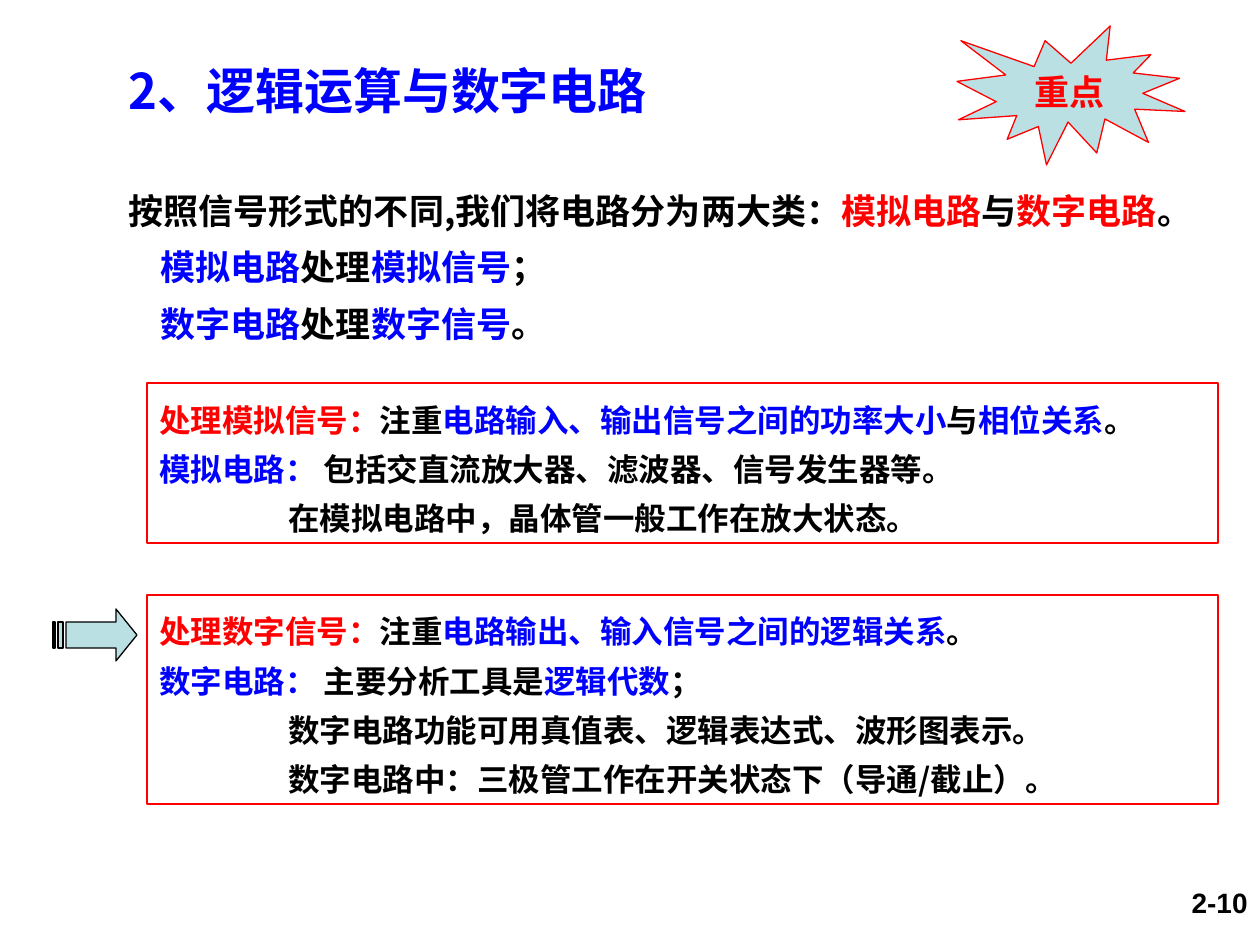
from lxml.etree import SubElement
from pptx import Presentation
from pptx.dml.color import RGBColor
from pptx.enum.shapes import MSO_SHAPE as Shape
from pptx.enum.text import MSO_ANCHOR as Anchor, MSO_AUTO_SIZE as AutoSize, PP_ALIGN as Align
from pptx.oxml.ns import qn
from pptx.util import Pt

PX = 914400 / 126
CJK = "Noto Sans CJK SC"
COLORS = {"black": "000000", "red": "FF0000", "blue": "0000FF", "pale": "BBE0E3"}

# A paragraph is (indent in px, [(text, colour), ...]).
TITLE = [(0, [("2、逻辑运算与数字电路", "blue")])]
INTRO = [
    (0, [("按照信号形式的不同,我们将电路分为两大类：", "black"), ("模拟电路", "red"),
         ("与", "black"), ("数字电路", "red"), ("。", "black")]),
    (32, [("模拟电路", "blue"), ("处理", "black"), ("模拟信号", "blue"), ("；", "black")]),
    (32, [("数字电路", "blue"), ("处理", "black"), ("数字信号", "blue"), ("。", "black")]),
]
ANALOG = [
    (0, [("处理模拟信号：", "red"), ("注重", "black"),
         ("电路输入、输出信号之间的功率大小", "blue"), ("与", "black"),
         ("相位关系", "blue"), ("。", "black")]),
    (0, [("模拟电路： ", "blue"), ("包括交直流放大器、滤波器、信号发生器等。", "black")]),
    (129, [("在模拟电路中，晶体管一般工作在放大状态。", "black")]),
]
DIGITAL = [
    (0, [("处理数字信号：", "red"), ("注重", "black"),
         ("电路输出、输入信号之间的逻辑关系", "blue"), ("。", "black")]),
    (0, [("数字电路： ", "blue"), ("主要分析工具是", "black"),
         ("逻辑代数", "blue"), ("；", "black")]),
    (129, [("数字电路功能可用真值表、逻辑表达式、波形图表示。", "black")]),
    (129, [("数字电路中：三极管工作在开关状态下（导通/截止）。", "black")]),
]
BADGE = [(0, [("重点", "red")])]
PAGE_NUMBER = [(0, [("2-10", "black")])]

# Panels are (top, height, paragraphs).
PANELS = [(383, 160, ANALOG), (595, 209, DIGITAL)]

SHAFT_TOP, SHAFT_BOTTOM = 622, 648
ARROW = [(116, 609), (116, SHAFT_TOP), (66, SHAFT_TOP), (66, SHAFT_BOTTOM),
         (116, SHAFT_BOTTOM), (116, 661), (137, 635)]
STRIPES = [(58, 63), (53, 55)]


def emu(*lengths):
    return [round(length * PX) for length in lengths]


def color(name):
    return RGBColor.from_string(COLORS[name])


def place(shape, *bounds):
    shape.left, shape.top, shape.width, shape.height = emu(*bounds)


def write(shape, paragraphs, size, spacing=1.0, align=Align.LEFT,
          anchor=Anchor.TOP, wrap=True, font=CJK):
    frame = shape.text_frame
    frame.word_wrap = wrap
    frame.auto_size = AutoSize.NONE
    frame.vertical_anchor = anchor
    for index, (indent, spans) in enumerate(paragraphs):
        para = frame.paragraphs[0] if index == 0 else frame.add_paragraph()
        props = para._p.get_or_add_pPr()
        props.set("marL", str(emu(indent)[0]))
        props.set("indent", "0")
        SubElement(props, qn("a:buNone"))
        para.alignment = align
        para.line_spacing = spacing
        para.space_before = Pt(0)
        for text, name in spans:
            span = para.add_run()
            span.text = text
            span.font.size = Pt(size)
            span.font.bold = True
            span.font.name = font
            span.font.color.rgb = color(name)
            SubElement(span._r.get_or_add_rPr(), qn("a:ea"), typeface=font)


def paint(shape, line, width, fill=None):
    shape.shadow.inherit = False
    shape.line.color.rgb = color(line)
    shape.line.width = Pt(width)
    if fill:
        shape.fill.solid()
        shape.fill.fore_color.rgb = color(fill)
    else:
        shape.fill.background()


def add_striped_arrow(page):
    builder = page.shapes.build_freeform(*ARROW[0], scale=PX)
    builder.add_line_segments(ARROW[1:], close=True)
    for left, right in STRIPES:
        builder.move_to(left, SHAFT_TOP)
        builder.add_line_segments([(left, SHAFT_BOTTOM), (right, SHAFT_BOTTOM),
                                   (right, SHAFT_TOP)], close=True)
    paint(builder.convert_to_shape(), "black", 0.75, "pale")


def main():
    deck = Presentation()
    deck.slide_width, deck.slide_height = emu(1260, 945)
    page = deck.slides.add_slide(deck.slide_layouts[1])

    title, body = page.placeholders
    place(title, 116, 54, 756, 72)
    write(title, TITLE, 28)
    place(body, 116, 168, 1142, 183)
    write(body, INTRO, 20, 1.35)

    for top, height, paragraphs in PANELS:
        panel = page.shapes.add_shape(Shape.RECTANGLE, *emu(147, top, 1071, height))
        paint(panel, "red", 1)
        write(panel, paragraphs, 18, 1.3)

    add_striped_arrow(page)

    badge = page.shapes.add_shape(Shape.EXPLOSION1, *emu(957, 26, 228, 139))
    paint(badge, "red", 0.75, "pale")
    write(badge, BADGE, 20, align=Align.CENTER, anchor=Anchor.MIDDLE, wrap=False)

    number = page.shapes.add_textbox(*emu(966, 879, 294, 66))
    write(number, PAGE_NUMBER, 16, align=Align.RIGHT, font="Arial")

    deck.save("out.pptx")


if __name__ == "__main__":
    main()
